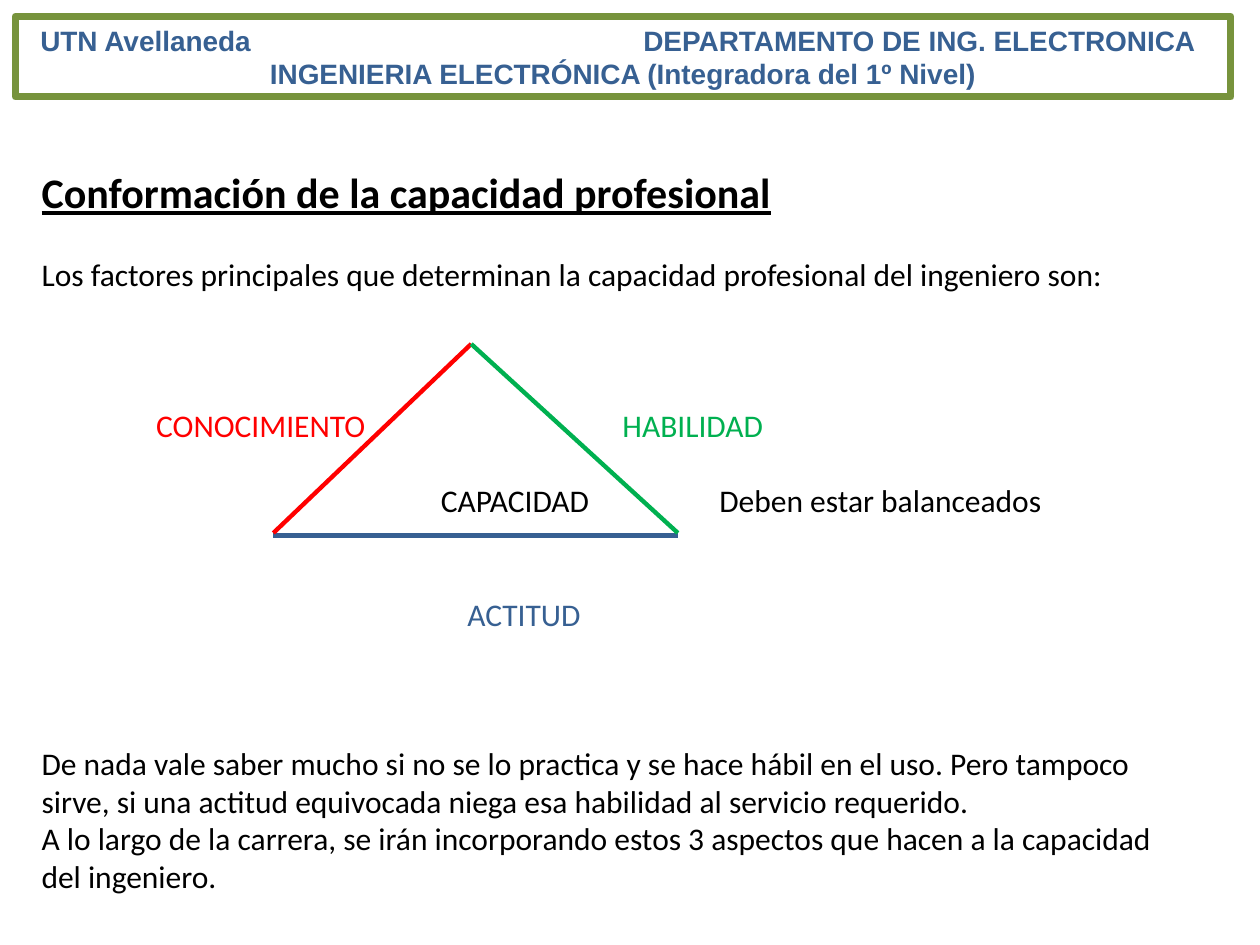
import pptx
import pptx.dml.color
import pptx.enum.shapes
import pptx.enum.text
import pptx.oxml
import pptx.oxml.ns
import pptx.util

Inches = pptx.util.Inches
Align = pptx.enum.text.PP_ALIGN
Anchor = pptx.enum.text.MSO_ANCHOR
COLOURS = {"black": "000000", "blue": "376092", "red": "FF0000",
           "green": "00B050", "olive": "77933C"}
TEXT = {"name": "Calibri", "size": pptx.util.Pt(18), "bold": False}
TITLE = {**TEXT, "size": pptx.util.Pt(24), "bold": True, "underline": True}
HEADER = {"name": "Arial", "size": pptx.util.Pt(16), "bold": True}

HEADER_LINES = [
    ("UTN Avellaneda\tDEPARTAMENTO DE ING. ELECTRONICA", Align.LEFT),
    ("INGENIERIA ELECTRÓNICA (Integradora del 1º Nivel)", Align.CENTER),
]
HEADING = "Conformación de la capacidad profesional"
BODY = [
    ("Los factores principales que determinan la capacidad profesional del ingeniero son:", 0),
    ("De nada vale saber mucho si no se lo practica y se hace hábil en el uso. Pero tampoco "
     "sirve, si una actitud equivocada niega esa habilidad al servicio requerido.", 258),
    ("A lo largo de la carrera, se irán incorporando estos 3 aspectos que hacen a la capacidad "
     "del ingeniero.", 0),
]
LABELS = [
    ("CONOCIMIENTO", "red", 1.24, 3.37, 1.7),
    ("HABILIDAD", "green", 4.94, 3.37, 1.15),
    ("CAPACIDAD", "black", 3.5, 3.97, 1.2),
    ("Deben estar balanceados", "black", 5.71, 3.97, 2.6),
    ("ACTITUD", "blue", 3.71, 4.87, 0.95),
]
LABEL_HEIGHT = 0.3
SIDES = [
    ("blue", (2.17, 4.25), (5.38, 4.25)),
    ("red", (2.17, 4.23), (3.74, 2.73)),
    ("green", (3.74, 2.73), (5.38, 4.23)),
]


def rgb(name):
    return pptx.dml.color.RGBColor.from_string(COLOURS[name])


def assign(target, values):
    for name, value in values.items():
        setattr(target, name, value)


def add_xml(parent, tag, **attributes):
    child = pptx.oxml.parse_xml(f'<a:{tag} {pptx.oxml.ns.nsdecls("a")}/>')
    for name, value in attributes.items():
        child.set(name, str(value))
    parent.append(child)
    return child


def write(para, text, style, colour, align=Align.LEFT):
    para.alignment = align
    span = para.add_run()
    span.text = text
    assign(span.font, style)
    span.font.color.rgb = rgb(colour)


def place(shape, left, top, width, height):
    assign(shape, {"left": Inches(left), "top": Inches(top),
                   "width": Inches(width), "height": Inches(height)})


def paragraphs(frame, count):
    return [frame.paragraphs[0]] + [frame.add_paragraph() for _ in range(count - 1)]


def add_placeholders(page):
    title, body = page.placeholders
    place(title, 0.23, 1.25, 9.27, 0.55)
    place(body, 0.23, 1.97, 9.27, 5.14)
    for box, anchor in ((title, Anchor.MIDDLE), (body, Anchor.TOP)):
        assign(box.text_frame, {"vertical_anchor": anchor, "word_wrap": True,
                                "auto_size": pptx.enum.text.MSO_AUTO_SIZE.NONE})
    write(title.text_frame.paragraphs[0], HEADING, TITLE, "black")
    for para, (text, gap) in zip(paragraphs(body.text_frame, len(BODY)), BODY):
        write(para, text, TEXT, "black")
        para.space_before = pptx.util.Pt(gap)
        properties = para._p.get_or_add_pPr()
        properties.set("marL", "0")
        properties.set("indent", "0")
        add_xml(properties, "buNone")


def add_triangle(page):
    for colour, start, end in SIDES:
        side = page.shapes.add_connector(pptx.enum.shapes.MSO_CONNECTOR.STRAIGHT,
                                         *map(Inches, start + end))
        side.line.color.rgb = rgb(colour)
        side.line.width = pptx.util.Pt(2.5)
        add_xml(side._element.spPr, "effectLst")
    for text, colour, left, middle, width in LABELS:
        box = page.shapes.add_textbox(*map(Inches, (
            left, middle - LABEL_HEIGHT / 2, width, LABEL_HEIGHT)))
        assign(box.text_frame, dict.fromkeys(
            ("margin_left", "margin_right", "margin_top", "margin_bottom"), 0))
        box.text_frame.vertical_anchor = Anchor.MIDDLE
        write(box.text_frame.paragraphs[0], text, TEXT, colour)


def add_header(page):
    box = page.shapes.add_shape(pptx.enum.shapes.MSO_SHAPE.RECTANGLE,
                                *map(Inches, (0.12, 0.13, 9.65, 0.64)))
    box.shadow.inherit = False
    box.fill.background()
    box.line.color.rgb = rgb("olive")
    box.line.width = pptx.util.Pt(4)
    assign(box.text_frame, {"margin_left": Inches(0.2), "margin_right": Inches(0.2),
                            "vertical_anchor": Anchor.MIDDLE, "word_wrap": True})
    lines = paragraphs(box.text_frame, len(HEADER_LINES))
    for para, (text, align) in zip(lines, HEADER_LINES):
        write(para, text, HEADER, "blue", align)
    tabs = add_xml(lines[0]._p.get_or_add_pPr(), "tabLst")
    add_xml(tabs, "tab", pos=int(Inches(9.17)), algn="r")


def main():
    """Build the slide on the factors of professional capacity."""
    deck = pptx.Presentation()
    assign(deck, {"slide_width": Inches(10), "slide_height": Inches(7.5)})
    page = deck.slides.add_slide(deck.slide_layouts[1])
    add_placeholders(page)
    add_triangle(page)
    add_header(page)
    deck.save("out.pptx")


if __name__ == "__main__":
    main()
